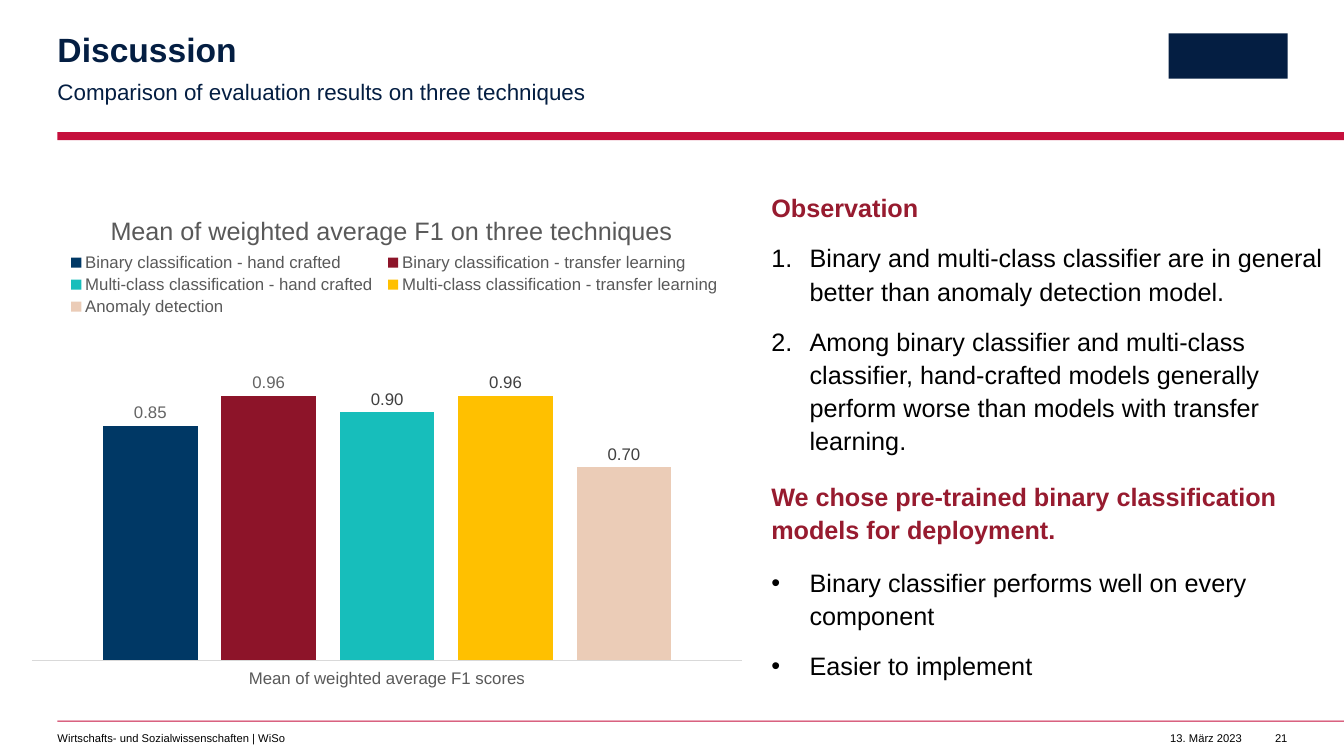
"""Build the discussion slide comparing evaluation results of three techniques."""
from lxml import etree
from pptx import Presentation
from pptx.chart.data import CategoryChartData
from pptx.dml.color import RGBColor
from pptx.enum.chart import XL_CHART_TYPE as ChartType
from pptx.enum.chart import XL_LABEL_POSITION as LabelPos
from pptx.enum.chart import XL_LEGEND_POSITION as LegendPos
from pptx.enum.chart import XL_TICK_LABEL_POSITION as TickLabel
from pptx.enum.chart import XL_TICK_MARK as TickMark
from pptx.enum.shapes import MSO_SHAPE as Shape
from pptx.enum.text import MSO_ANCHOR as Anchor
from pptx.enum.text import MSO_AUTO_SIZE as AutoSize
from pptx.enum.text import PP_ALIGN as Align
from pptx.oxml.ns import qn
from pptx.util import Inches, Pt

FONT = "Arial"
COLORS = {
    "navy": "041E42", "red": "C50F3C", "wine": "971B2F", "black": "000000",
    "grey": "595959", "label": "646464", "dark label": "404040", "axis": "D9D9D9",
}

TITLE = "Discussion"
SUBTITLE = "Comparison of evaluation results on three techniques"
OBSERVATION_HEADING = "Observation"
OBSERVATIONS = [
    "Binary and multi-class classifier are in general better than anomaly detection model.",
    "Among binary classifier and multi-class classifier, hand-crafted models generally "
    "perform worse than models with transfer learning.",
]
DECISION = "We chose pre-trained binary classification models for deployment."
REASONS = ["Binary classifier performs well on every component", "Easier to implement"]
FOOTER = [
    ("Wirtschafts- und Sozialwissenschaften | WiSo", 0.57, 5.98, Align.LEFT),
    ("13. März 2023", 11.39, 0.93, Align.RIGHT),
    ("21", 12.56, 0.21, Align.RIGHT),
]
CHART_TITLE = "Mean of weighted average F1 on three techniques"
CATEGORY = "Mean of weighted average F1 scores"
SCORES = [
    ("Binary classification - hand crafted", 0.85, "003865", "label"),
    ("Binary classification - transfer learning", 0.96, "8D1429", "label"),
    ("Multi-class classification - hand crafted", 0.9, "17BEBB", "dark label"),
    ("Multi-class classification - transfer learning", 0.96, "FFC000", "dark label"),
    ("Anomaly detection", 0.7, "EBCCB7", "dark label"),
]
DECORATION = [
    (0.57, 1.31, 12.77, 0.08, "red"),
    (0.57, 7.15, 12.77, 0.01, "red"),
    (11.59, 0.33, 1.18, 0.45, "navy"),
]


def rgb(name):
    return RGBColor.from_string(COLORS[name])


def style(font, size, color, bold=False):
    font.name, font.size, font.bold = FONT, Pt(size), bold
    font.color.rgb = rgb(color)


def place(box, left, top, width, height):
    box.left, box.top, box.width, box.height = map(Inches, (left, top, width, height))
    return box.text_frame


def write(frame, text, size=18, color="black", bold=False, bullet=None,
          align=Align.LEFT, spacing=1.1, after=12, right=0):
    frame.word_wrap, frame.auto_size = True, AutoSize.NONE
    frame.vertical_anchor = Anchor.TOP
    frame.margin_left = frame.margin_top = frame.margin_bottom = 0
    frame.margin_right = Inches(right)
    paragraph = frame.paragraphs[0] if not frame.text else frame.add_paragraph()
    props = paragraph._p.get_or_add_pPr()
    indent = Inches(0.38) if bullet else 0
    props.set("marL", str(indent))
    props.set("indent", str(-indent))
    if bullet == "number":
        etree.SubElement(props, qn("a:buAutoNum"), type="arabicPeriod")
    elif bullet:
        etree.SubElement(props, qn("a:buChar"), char=bullet)
    else:
        etree.SubElement(props, qn("a:buNone"))
    paragraph.alignment, paragraph.line_spacing = align, spacing
    paragraph.space_before, paragraph.space_after = Pt(0), Pt(after)
    run = paragraph.add_run()
    run.text = text
    style(run.font, size, color, bold)


def set_layout(part, index, inner=False, **fractions):
    for old in part.findall(qn("c:layout")):
        part.remove(old)
    layout = etree.Element(qn("c:layout"))
    manual = etree.SubElement(layout, qn("c:manualLayout"))
    if inner:
        etree.SubElement(manual, qn("c:layoutTarget"), val="inner")
    for axis in "xy":
        etree.SubElement(manual, qn(f"c:{axis}Mode"), val="edge")
    for key, value in fractions.items():
        etree.SubElement(manual, qn(f"c:{key}"), val=str(value))
    part.insert(index, layout)


def add_score_chart(slide):
    data = CategoryChartData(number_format="0.00")
    data.categories = [CATEGORY]
    for name, score, _, _ in SCORES:
        data.add_series(name, [score])
    area = map(Inches, (0.17, 1.88, 7.34, 4.97))
    chart = slide.shapes.add_chart(ChartType.COLUMN_CLUSTERED, *area, data).chart
    style(chart.font, 10, "black")

    chart.has_title = True
    heading = chart.chart_title.text_frame
    heading.text = CHART_TITLE
    style(heading.paragraphs[0].runs[0].font, 18, "grey")
    chart.chart_title.include_in_layout = False
    set_layout(chart.chart_title._element, 1, x=0.12, y=0.04)

    chart.has_legend = True
    chart.legend.position = LegendPos.TOP
    chart.legend.include_in_layout = False
    style(chart.legend.font, 12, "grey")
    set_layout(chart.legend._element, 1, x=0.06, y=0.12, w=0.9, h=0.14)

    plot = chart.plots[0]
    plot.gap_width, plot.overlap, plot.vary_by_categories = 150, -25, False
    for series, (_, _, fill, label_color) in zip(plot.series, SCORES):
        series.format.fill.solid()
        series.format.fill.fore_color.rgb = RGBColor.from_string(fill)
        labels = series.data_labels
        labels.show_value, labels.position = True, LabelPos.OUTSIDE_END
        labels.number_format, labels.number_format_is_linked = "0.00", False
        style(labels.font, 12, label_color)

    scores_axis, names_axis = chart.value_axis, chart.category_axis
    scores_axis.minimum_scale, scores_axis.maximum_scale = 0, 1.2
    scores_axis.has_major_gridlines = scores_axis.visible = False
    names_axis.major_tick_mark = names_axis.minor_tick_mark = TickMark.NONE
    names_axis.tick_label_position = TickLabel.LOW
    names_axis.format.line.color.rgb = rgb("axis")
    names_axis.format.line.width = Pt(0.75)
    style(names_axis.tick_labels.font, 12, "grey")
    plot_area = chart._chartSpace.find(".//" + qn("c:plotArea"))
    set_layout(plot_area, 0, inner=True, x=0.02, y=0.28, w=0.96, h=0.66)


def main():
    deck = Presentation()
    deck.slide_width, deck.slide_height = Inches(13.33), Inches(7.5)
    slide = deck.slides.add_slide(deck.slide_layouts[4])

    for left, top, width, height, color in DECORATION:
        block = slide.shapes.add_shape(Shape.RECTANGLE, *map(Inches, (left, top, width, height)))
        block.shadow.inherit = False
        block.fill.solid()
        block.fill.fore_color.rgb = rgb(color)
        block.line.fill.background()
    for text, left, width, align in FOOTER:
        area = map(Inches, (left, 7.26, width, 0.13))
        write(slide.shapes.add_textbox(*area).text_frame, text, size=8,
              align=align, spacing=1.0, after=0)

    title, subtitle, observations, decision, reasons = slide.placeholders
    write(place(title, 0.57, 0.33, 7.49, 0.36), TITLE, size=24, color="navy",
          bold=True, spacing=0.9, after=0)
    write(place(subtitle, 0.57, 0.75, 7.49, 0.27), SUBTITLE, size=16, color="navy", right=0.39)

    add_score_chart(slide)

    observed = place(observations, 7.65, 1.88, 5.51, 2.64)
    write(observed, OBSERVATION_HEADING, color="wine", bold=True)
    for observation in OBSERVATIONS:
        write(observed, observation, bullet="number")
    write(place(decision, 7.65, 4.74, 5.51, 0.64), DECISION, color="wine", bold=True)
    reasoned = place(reasons, 7.65, 5.6, 5.38, 1.14)
    for reason in REASONS:
        write(reasoned, reason, bullet="•")

    deck.save("out.pptx")


if __name__ == "__main__":
    main()
